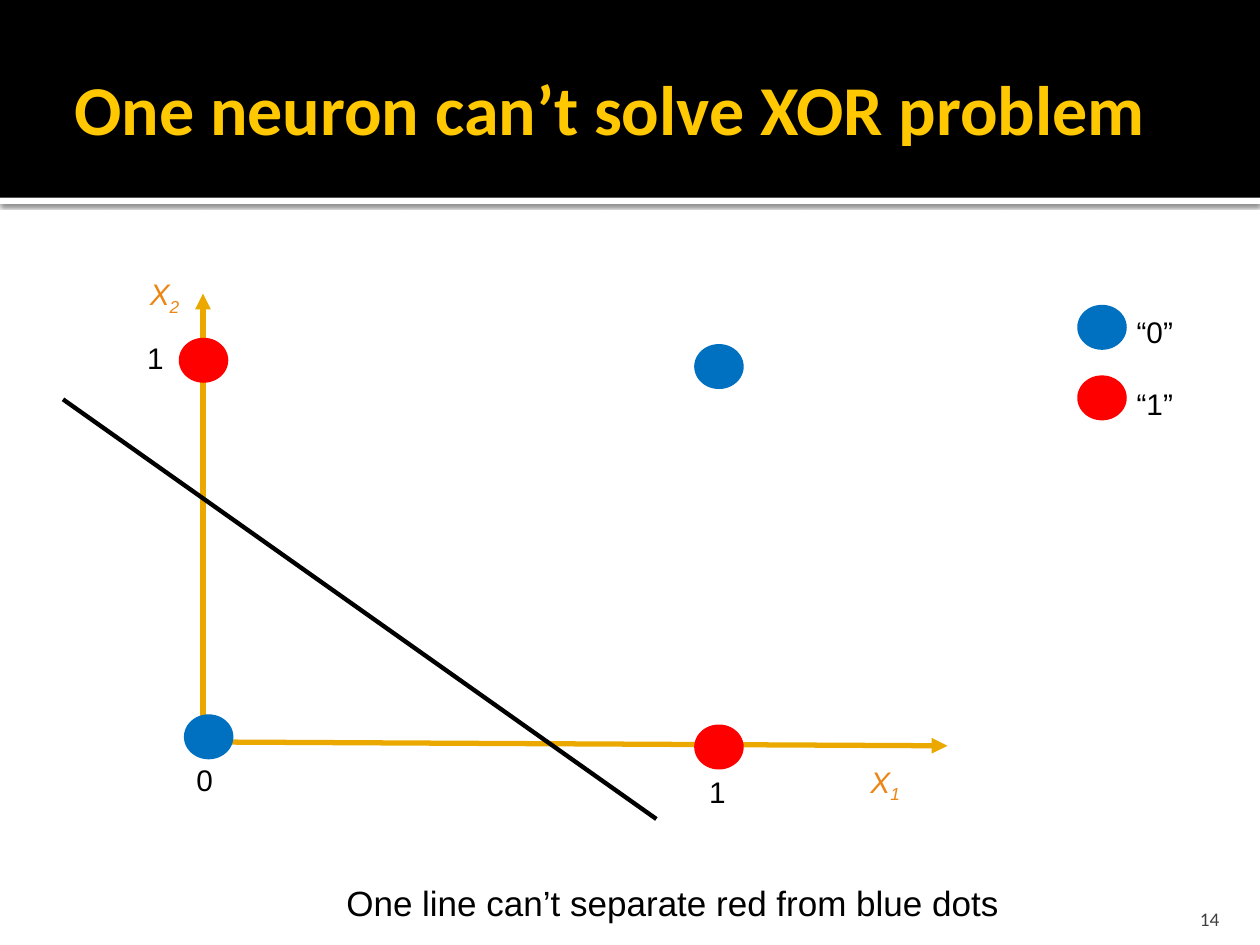
from lxml import etree
from pptx import Presentation
from pptx.dml.color import RGBColor
from pptx.enum.shapes import MSO_CONNECTOR, MSO_SHAPE
from pptx.enum.text import MSO_ANCHOR, MSO_AUTO_SIZE, PP_ALIGN
from pptx.oxml.ns import qn
from pptx.util import Pt

RECTANGLE, OVAL = MSO_SHAPE.RECTANGLE, MSO_SHAPE.OVAL
STRAIGHT = MSO_CONNECTOR.STRAIGHT
TOP, MIDDLE, BOTTOM = MSO_ANCHOR.TOP, MSO_ANCHOR.MIDDLE, MSO_ANCHOR.BOTTOM
LEFT, RIGHT = PP_ALIGN.LEFT, PP_ALIGN.RIGHT
FIT_SHAPE, FIT_NONE = MSO_AUTO_SIZE.SHAPE_TO_FIT_TEXT, MSO_AUTO_SIZE.NONE

BLACK, WHITE, BLUE, RED = "000000", "FFFFFF", "0070C0", "FF0000"
AXIS_GOLD, AXIS_LABEL, TITLE_GOLD, GREY = "EBA900", "EC8514", "FFC800", "3F3F3F"
DOT_SIZE = (28.3, 25.7)
LABEL_FORMAT = {"name": "Arial", "size": Pt(17)}
AXIS_FORMAT = {**LABEL_FORMAT, "italic": True}


def color(value):
    """Turn a hex string into a colour."""
    return RGBColor.from_string(value)


def add_filled_shape(slide, kind, box, fill):
    """Add a preset shape with a plain fill and no outline."""
    shape = slide.shapes.add_shape(kind, *map(Pt, box))
    shape.shadow.inherit = False
    shape.fill.solid()
    shape.fill.fore_color.rgb = color(fill)
    shape.line.fill.background()
    return shape


def add_soft_shadow(shape):
    """Give a shape a soft shadow that falls straight down."""
    effects = shape._element.spPr.find(qn("a:effectLst"))
    shadow = etree.SubElement(effects, qn("a:outerShdw"), blurRad=str(Pt(2.5)),
                              dist=str(Pt(0.8)), dir="5400000", algn="tl", rotWithShape="0")
    tint = etree.SubElement(shadow, qn("a:srgbClr"), val=BLACK)
    etree.SubElement(tint, qn("a:alpha"), val="60000")


def add_dot(slide, left, top, fill):
    """Add one data dot."""
    add_filled_shape(slide, OVAL, (left, top, *DOT_SIZE), fill)


def add_line(slide, start, end, line_color, width, arrow=False):
    """Add a straight line, with an arrowhead at its end if asked."""
    line = slide.shapes.add_connector(STRAIGHT, *map(Pt, start + end))
    line.line.color.rgb = color(line_color)
    line.line.width = Pt(width)
    properties = line._element.spPr
    if arrow:
        etree.SubElement(properties.find(qn("a:ln")), qn("a:tailEnd"), type="triangle")
    etree.SubElement(properties, qn("a:effectLst"))


def add_text(slide, box, text, font_format, text_color=BLACK, subscript="",
             wrap=False, anchor=TOP, align=LEFT, insets=(7.2, 3.6, 7.2, 3.6)):
    """Add a line of text, with an optional subscript after it."""
    frame = slide.shapes.add_textbox(*map(Pt, box)).text_frame
    frame_format = {"word_wrap": wrap, "vertical_anchor": anchor,
                    "auto_size": FIT_NONE if wrap else FIT_SHAPE}
    for side, inset in zip(("left", "top", "right", "bottom"), insets):
        frame_format[f"margin_{side}"] = Pt(inset)
    for name, value in frame_format.items():
        setattr(frame, name, value)
    paragraph = frame.paragraphs[0]
    paragraph.alignment = align
    for part in filter(None, (text, subscript)):
        run = paragraph.add_run()
        run.text = part
        for name, value in font_format.items():
            setattr(run.font, name, value)
        run.font.color.rgb = color(text_color)
    if subscript:
        run._r.get_or_add_rPr().set("baseline", "-25000")


def add_header(slide):
    """Add the black title band with its white edge and the title."""
    edge = add_filled_shape(slide, RECTANGLE, (0, 113, 720, 3.6), WHITE)
    add_soft_shadow(edge)
    add_filled_shape(slide, RECTANGLE, (0, 0, 720, 113), BLACK)
    add_text(slide, (36, 12.2, 648, 98.6), "One neuron can’t solve XOR problem",
             {"name": "Calibri", "size": Pt(40), "bold": True}, TITLE_GOLD,
             wrap=True, anchor=MIDDLE, insets=(6.5, 3.6, 3.6, 3.6))


def add_plot(slide):
    """Add the axes, ticks, labels, dots and the separating line."""
    for start, end in (((116, 423.4), (116, 167.8)), ((117.4, 424), (541.4, 426.2))):
        add_line(slide, start, end, AXIS_GOLD, 3, arrow=True)
    for start, end in (((405.4, 419), (405.4, 433.4)), ((110.9, 207.4), (123.8, 207.4))):
        add_line(slide, start, end, AXIS_GOLD, 0.5)
    for left, top, number in ((490.3, 432.7, "1"), (78.5, 154.1, "2")):
        add_text(slide, (left, top, 32.4, 28), "X", AXIS_FORMAT, AXIS_LABEL, number)
    for left, top, number in ((105.1, 432, "0"), (398.2, 438.5, "1"), (77, 190.8, "1")):
        add_text(slide, (left, top, 24.5, 28), number, LABEL_FORMAT)
    for left, top, fill in ((105.1, 408.2, BLUE), (396.7, 196.6, BLUE),
                            (102.2, 193, RED), (396.7, 414, RED)):
        add_dot(slide, left, top, fill)
    add_line(slide, (36, 228.2), (375.1, 468), BLACK, 2.5)


def add_legend(slide):
    """Add the two legend entries."""
    for row, (text, fill) in enumerate((("“0”", BLUE), ("“1”", RED))):
        add_dot(slide, 615.6, 174.2 + 40.3 * row, fill)
        add_text(slide, (649.5, 179.5 + 41 * row, 50, 20), text, LABEL_FORMAT,
                 wrap=True, anchor=MIDDLE, insets=(0, 0, 0, 0))


def main():
    """Build and save the slide."""
    presentation = Presentation()
    presentation.slide_width, presentation.slide_height = Pt(720), Pt(540)
    slide = presentation.slides.add_slide(presentation.slide_layouts[6])
    add_header(slide)
    add_plot(slide)
    add_legend(slide)
    add_text(slide, (190.8, 500.4, 390.2, 31.7),
             "One line can’t separate red from blue dots", {"name": "Arial", "size": Pt(20)})
    add_text(slide, (645.8, 509.8, 57.6, 21.6), "14", {"name": "Calibri", "size": Pt(11)}, GREY,
             wrap=True, anchor=BOTTOM, align=RIGHT, insets=(6.5, 3.6, 6.5, 0))
    presentation.save("out.pptx")


if __name__ == "__main__":
    main()
